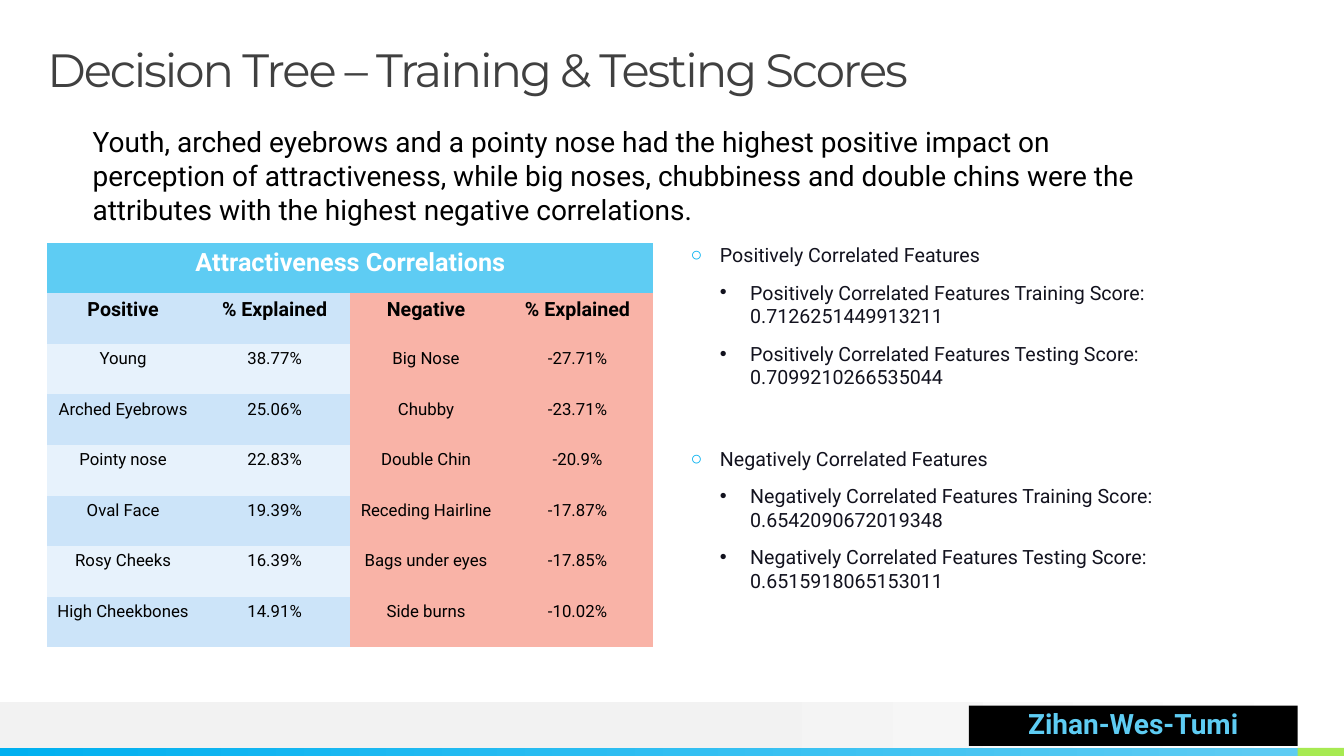
"""Build the slide on decision tree training and testing scores."""
from lxml.etree import SubElement
from pptx import Presentation
from pptx.dml.color import RGBColor
from pptx.enum.shapes import MSO_SHAPE as Shape
from pptx.enum.text import MSO_ANCHOR as Anchor, PP_ALIGN as Align
from pptx.oxml.ns import qn
from pptx.util import Inches, Pt


def color(value):
    return RGBColor.from_string(value)


def write(paragraph, text, size, font_color="000000", font_name="Roboto", bold=False, **layout):
    run = paragraph.add_run()
    run.text = text
    run.font.color.rgb = color(font_color)
    for name, value in {"size": Pt(size), "name": font_name, "bold": bold}.items():
        setattr(run.font, name, value)
    for name, value in layout.items():
        setattr(paragraph, name, value)
    return run


presentation = Presentation()
presentation.slide_width = Inches(13.33)
presentation.slide_height = Inches(7.5)
slide = presentation.slides.add_slide(presentation.slide_layouts[6])

bars = [
    (0, 6.96, 13.33, 0.46, [(0.53, "F2F2F2"), (1, "FFFFFF")]),
    (0, 7.42, 12.87, 0.08, [(0, "00B0F0"), (1, "5ECCF3")]),
    (12.87, 7.42, 0.46, 0.08, "A7EA52"),
    (9.61, 7, 3.26, 0.4, "000000"),
]
for *place, paint in bars:
    bar = slide.shapes.add_shape(Shape.RECTANGLE, *map(Inches, place))
    bar.shadow.inherit = False
    bar.line.fill.background()
    if isinstance(paint, str):
        bar.fill.solid()
        bar.fill.fore_color.rgb = color(paint)
    else:
        bar.fill.gradient()
        bar.fill.gradient_angle = 0
        for stop, (position, stop_color) in zip(bar.fill.gradient_stops, paint):
            stop.position = position
            stop.color.rgb = color(stop_color)

name_frame = bar.text_frame
name_frame.vertical_anchor = Anchor.MIDDLE
write(name_frame.paragraphs[0], "Zihan-Wes-Tumi", 20, "5ECCF3", bold=True,
      alignment=Align.CENTER, line_spacing=0.9)

frames = []
for left, top, width, height, inset in [
    (0.47, 0.47, 12.4, 0.47, 0),
    (0.82, 1.19, 10.82, 1.11, None),
    (6.85, 2.41, 5.68, 4.01, 0),
]:
    box = slide.shapes.add_textbox(Inches(left), Inches(top), Inches(width), Inches(height))
    frame = box.text_frame
    frame.word_wrap = True
    if inset is not None:
        for side in ("left", "top", "right", "bottom"):
            setattr(frame, f"margin_{side}", Inches(inset))
    frames.append(frame)
title, summary, scores = frames

title_run = write(title.paragraphs[0], "Decision Tree – Training & Testing Scores", 33.3,
                  "404040", "Montserrat", line_spacing=0.9)
title_run.font._element.set("spc", "-150")
write(summary.paragraphs[0],
      "Youth, arched eyebrows and a pointy nose had the highest positive impact on "
      "perception of attractiveness, while big noses, chubbiness and double chins were the "
      "attributes with the highest negative correlations.", 20)

score_lines = [
    (0, 10, "Positively Correlated Features"),
    (1, 5, "Positively Correlated Features Training Score: 0.7126251449913211"),
    (1, 5, "Positively Correlated Features Testing Score: 0.7099210266535044"),
    (0, 36.5, "Negatively Correlated Features"),
    (1, 5, "Negatively Correlated Features Training Score: 0.6542090672019348"),
    (1, 5, "Negatively Correlated Features Testing Score: 0.6515918065153011"),
]
bullets = [("○", "00B0F0", 0.29, -0.29), ("•", "12121E", 0.59, -0.3)]
for index, (level, space, text) in enumerate(score_lines):
    paragraph = scores.add_paragraph() if index else scores.paragraphs[0]
    write(paragraph, text, 14, "12121E", level=level, space_before=Pt(space), space_after=Pt(5))
    symbol, symbol_color, margin, indent = bullets[level]
    properties = paragraph._p.get_or_add_pPr()
    properties.set("marL", str(Inches(margin)))
    properties.set("indent", str(Inches(indent)))
    SubElement(SubElement(properties, qn("a:buClr")), qn("a:srgbClr")).set("val", symbol_color)
    SubElement(properties, qn("a:buFont")).set("typeface", "Arial")
    SubElement(properties, qn("a:buChar")).set("char", symbol)

correlations = [
    ("Attractiveness Correlations", "", "", ""),
    ("Positive", "% Explained", "Negative", "% Explained"),
    ("Young", "38.77%", "Big Nose", "-27.71%"),
    ("Arched Eyebrows", "25.06%", "Chubby", "-23.71%"),
    ("Pointy nose", "22.83%", "Double Chin", "-20.9%"),
    ("Oval Face", "19.39%", "Receding Hairline", "-17.87%"),
    ("Rosy Cheeks", "16.39%", "Bags under eyes", "-17.85%"),
    ("High Cheekbones", "14.91%", "Side burns", "-10.02%"),
]
table_shape = slide.shapes.add_table(len(correlations), 4, Inches(0.47), Inches(2.41),
                                     Inches(6.01), Inches(4.01))
table = table_shape.table
table.first_row = table.horz_banding = False
no_grid_style = "{2D5ABB26-0587-4C30-8999-92F81FD0307C}"
table._tbl.tblPr.find(qn("a:tableStyleId")).text = no_grid_style
table.cell(0, 0).merge(table.cell(0, 3))
for row, values in enumerate(correlations):
    size = {0: 18, 1: 14}.get(row, 12)
    for column, value in enumerate(values):
        cell = table.cell(row, column)
        if row == 0:
            fill_color = "5ECCF3"
        elif column > 1:
            fill_color = "F9B3A7"
        else:
            fill_color = "CCE4F9" if row % 2 else "E7F2FC"
        cell.fill.solid()
        cell.fill.fore_color.rgb = color(fill_color)
        if value:
            write(cell.text_frame.paragraphs[0], value, size, "000000" if row else "FFFFFF",
                  bold=row < 2, alignment=Align.CENTER)

presentation.save("out.pptx")
